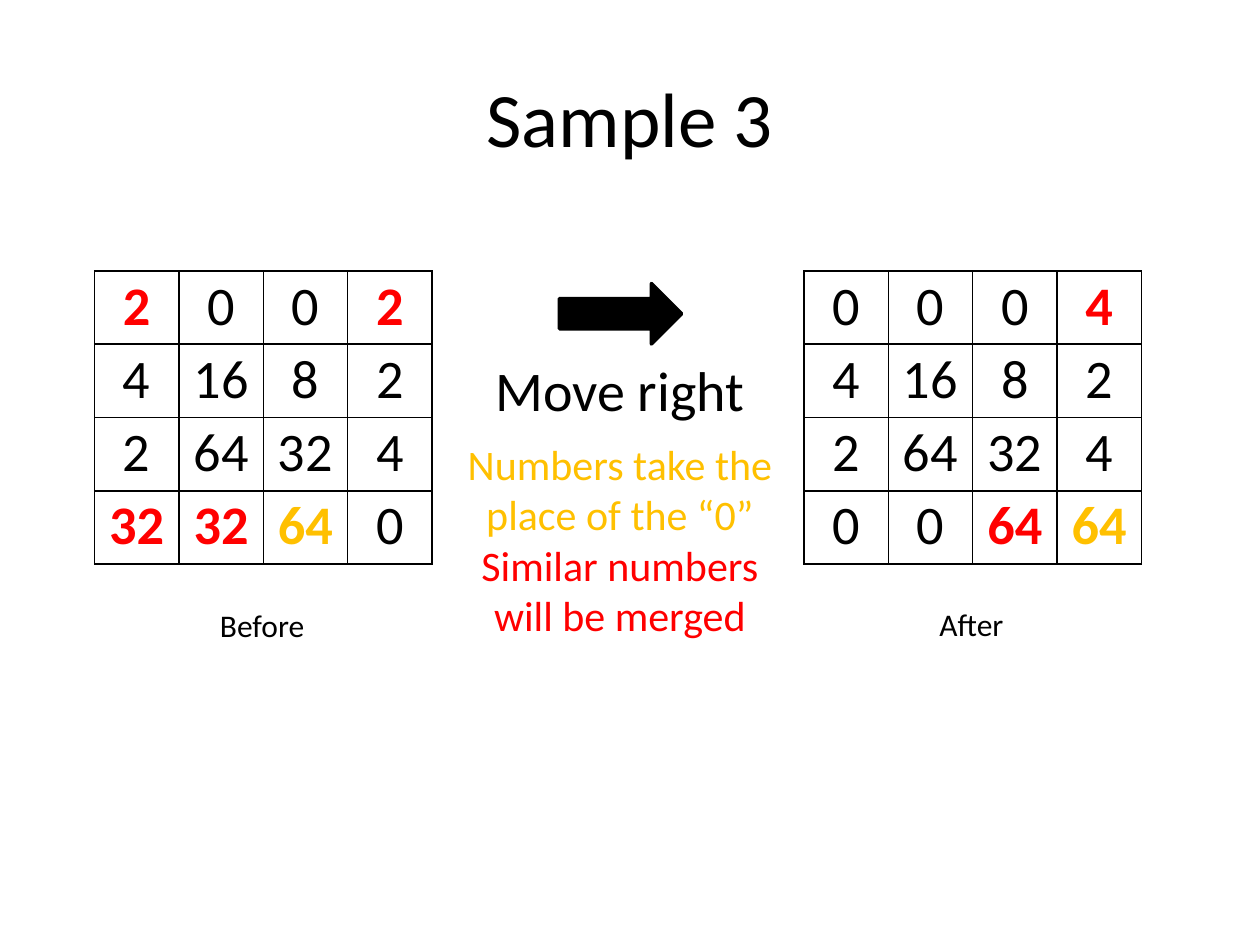
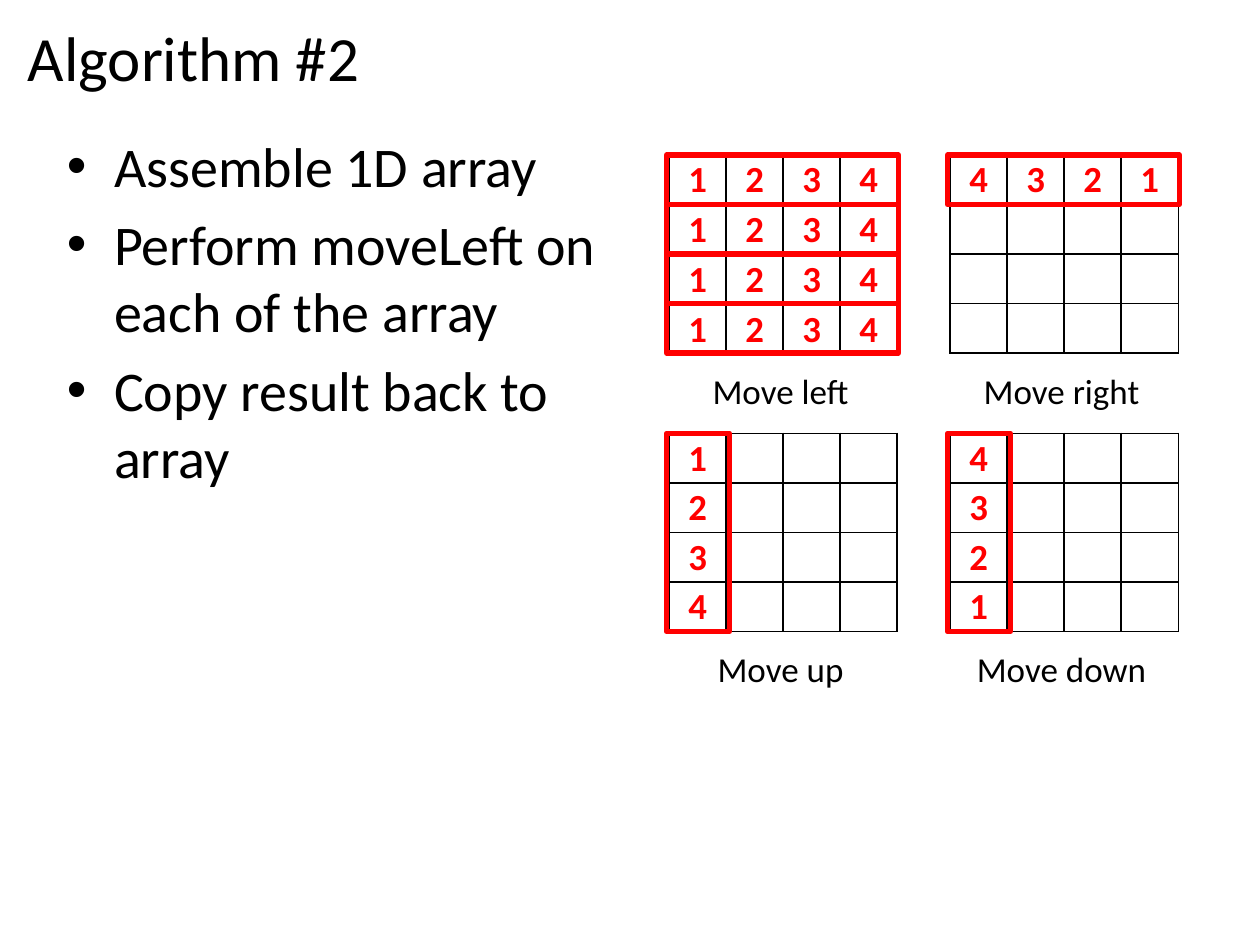
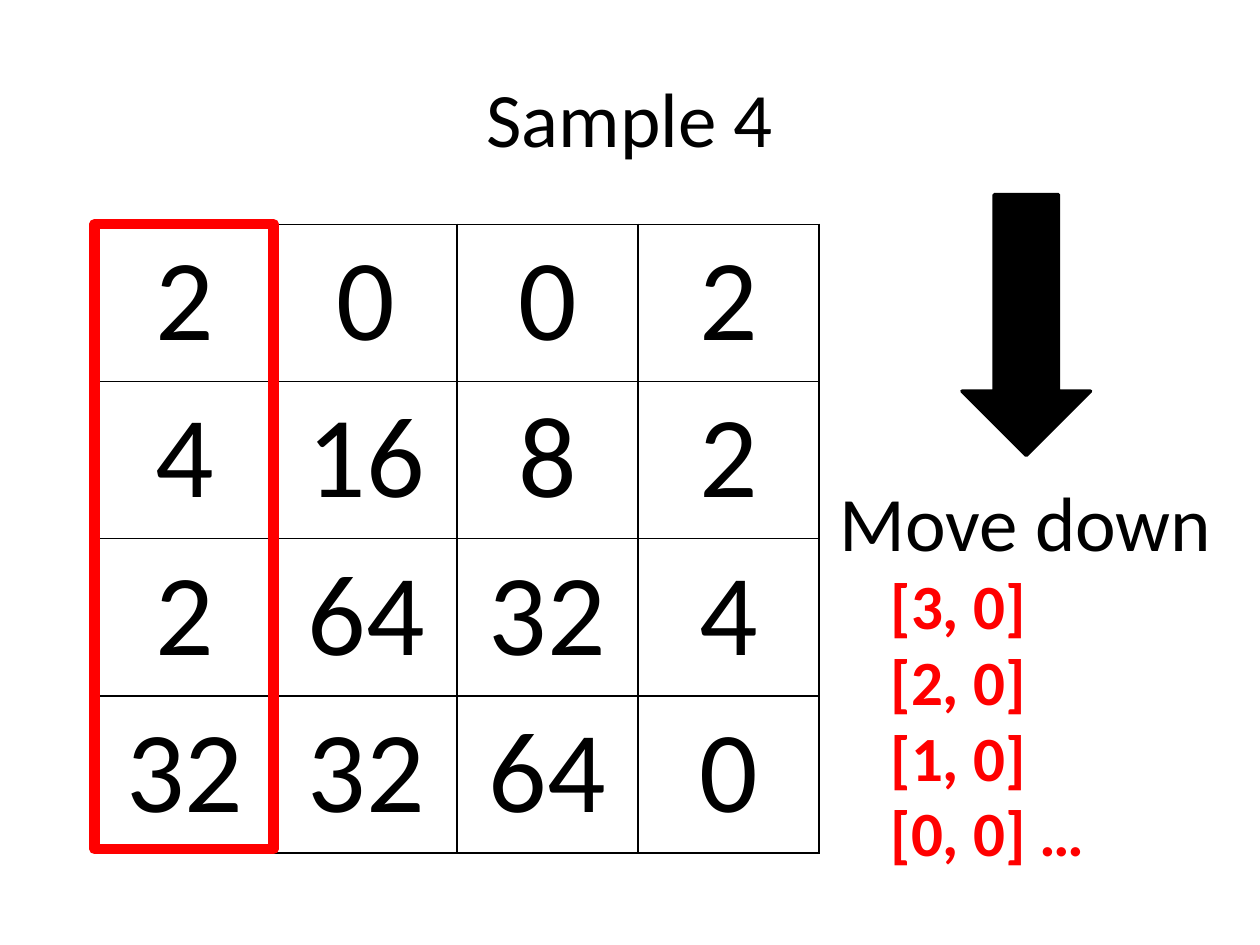
from itertools import product

from lxml import etree
from pptx import Presentation
from pptx import util as u
from pptx.dml.color import RGBColor
from pptx.enum import shapes, text
from pptx.oxml import ns

BLACK, RED, AMBER = "000000", "FF0000", "FFC000"
FONT = "Calibri"
CENTER, LEFT = text.PP_ALIGN.CENTER, text.PP_ALIGN.LEFT
rgb = RGBColor.from_string

prs = Presentation()
prs.slide_width, prs.slide_height = u.Inches(10), u.Inches(7.5)
G = prs.slide_width // 100  # one square of a grid of 100 columns by 75 rows


def add_label(s, box, lines, size, align=CENTER, bold=False):
    """Add a text box with one (text, colour) paragraph per line."""
    tf = s.shapes.add_textbox(*(int(v * G) for v in box)).text_frame
    tf.word_wrap = True
    for i, (line, colour) in enumerate(lines):
        p = tf.paragraphs[0] if i == 0 else tf.add_paragraph()
        p.text, p.alignment = line, align
        p.font.name, p.font.size, p.font.bold = FONT, u.Pt(size), bold
        p.font.color.rgb = rgb(colour)


def add_board(s, left, top, cell_size, rows, size, inset, accents):
    """Add a ruled 4 x 4 number table; accents maps (row, column) to a colour."""
    w, h = (int(v * G) for v in cell_size)
    tbl = s.shapes.add_table(4, 4, int(left * G), int(top * G), 4 * w, 4 * h).table
    tbl.first_row = tbl.horz_banding = False
    for i in range(4):
        tbl.columns[i].width, tbl.rows[i].height = w, h
    for r, c in product(range(4), repeat=2):
        cell = tbl.cell(r, c)
        cell.margin_left = cell.margin_right = u.Inches(inset[0])
        cell.margin_top = cell.margin_bottom = u.Inches(inset[1])
        cell.fill.background()
        p = cell.text_frame.paragraphs[0]
        p.text, p.alignment = rows[r][c], CENTER
        p.font.name, p.font.size = FONT, u.Pt(size)
        p.font.bold = (r, c) in accents
        p.font.color.rgb = rgb(accents.get((r, c), BLACK))
        tc_pr = cell._tc.get_or_add_tcPr()
        for i, side in enumerate(("lnL", "lnR", "lnT", "lnB")):
            ln = etree.Element(ns.qn("a:" + side), w="12700")
            fill = etree.SubElement(ln, ns.qn("a:solidFill"))
            etree.SubElement(fill, ns.qn("a:srgbClr"), val=BLACK)
            tc_pr.insert(i, ln)


# Slide 1: a move to the right, before and after
before = [row.split() for row in ("2 0 0 2", "4 16 8 2", "2 64 32 4", "32 32 64 0")]
after = [["0", "0", "0", "4"], *before[1:3], ["0", "0", "64", "64"]]

sample3 = prs.slides.add_slide(prs.slide_layouts[5])
sample3.shapes.title.text = "Sample 3"
add_board(sample3, 7.5, 21.5, (6.7, 5.82), before, 31, (0.05, 0.02),
          {(0, 0): RED, (0, 3): RED, (3, 0): RED, (3, 1): RED, (3, 2): AMBER})
add_board(sample3, 63.8, 21.5, (6.7, 5.82), after, 31, (0.05, 0.02),
          {(0, 3): RED, (3, 2): RED, (3, 3): AMBER})
add_label(sample3, (37.2, 27.7, 24, 6.4), [("Move right", BLACK)], 32)
add_label(sample3, (35.8, 34.3, 26.8, 17.2),
          [("Numbers take the place of the “0”", AMBER),
           ("Similar numbers will be merged", RED)], 24)
add_label(sample3, (9.4, 47.6, 22.8, 4), [("Before", BLACK)], 18)
add_label(sample3, (65.7, 47.5, 22.8, 4), [("After", BLACK)], 18)

# Slide 2: the order in which each move reads the board
algorithm = prs.slides.add_slide(prs.slide_layouts[1])
title, body = algorithm.placeholders
title.left, title.top, title.width, title.height = (
    int(v * G) for v in (1.2, 0.9, 33.9, 7.1))
title.text = "Algorithm #2"
p = title.text_frame.paragraphs[0]
p.alignment, p.font.size = LEFT, u.Pt(36)
body.left, body.top, body.width, body.height = (
    int(v * G) for v in (4.3, 9.9, 47.1, 59.8))
body.text = "\n".join(("Assemble 1D array",
                       "Perform moveLeft on each of the array",
                       "Copy result back to array"))

CELL_W, CELL_H = 4.53, 3.93
blank = [""] * 4
moves = [
    ("Move left", [list("1234")] * 4),
    ("Move right", [list("4321"), blank, blank, blank]),
    ("Move up", [[n, "", "", ""] for n in "1234"]),
    ("Move down", [[n, "", "", ""] for n in "4321"]),
]
all_red = {pos: RED for pos in product(range(4), repeat=2)}
frames = []  # slide, box, line width
for i, (name, rows) in enumerate(moves):
    left, top = 53.1 + i % 2 * 22.3, 12.3 + i // 2 * 22.1
    add_board(algorithm, left, top, (CELL_W, CELL_H), rows, 21, (0.03, 0.02), all_red)
    add_label(algorithm, (left - 1, top + 16.5, 19.7, 4.4), [(name, BLACK)], 20)
    if i < 2:
        for r in range(4):
            if rows[r][0]:
                frames.append((algorithm, (left - 0.2, top + r * CELL_H, 18.4, CELL_H), 3))
    else:
        frames.append((algorithm, (left - 0.2, top, 5, 4 * CELL_H), 3))

# Slide 3: a move down, reading the first column from the bottom
sample4 = prs.slides.add_slide(prs.slide_layouts[5])
sample4.shapes.title.text = "Sample 4"
add_board(sample4, 7.5, 17.8, (14.38, 12.48), before, 66, (0.1, 0.05), {})
add_label(sample4, (65.6, 37.2, 31.6, 8.4), [("Move down", BLACK)], 44)
add_label(sample4, (69.7, 44.5, 25.1, 25.2),
          [(line, RED) for line in ("[3, 0]", "[2, 0]", "[1, 0]", "[0, 0] …")],
          36, LEFT, True)
frames.append((sample4, (7.5, 17.8, 14.2, 49.6), 6))

# Red frames and black arrows
arrows = [(sample3, (44.4, 22.5, 9.7, 4.8), 0), (sample4, (71.1, 20.7, 20.7, 10.2), 90)]
for s, box, width in frames:
    sp = s.shapes.add_shape(shapes.MSO_SHAPE.RECTANGLE, *(int(v * G) for v in box))
    sp.shadow.inherit = False
    sp.fill.background()
    sp.line.color.rgb, sp.line.width = rgb(RED), u.Pt(width)
for s, box, turn in arrows:
    sp = s.shapes.add_shape(shapes.MSO_SHAPE.RIGHT_ARROW, *(int(v * G) for v in box))
    sp.shadow.inherit = False
    sp.rotation = turn
    sp.fill.solid()
    sp.fill.fore_color.rgb = sp.line.color.rgb = rgb(BLACK)
    sp.line.width = u.Pt(2)

prs.save("out.pptx")
